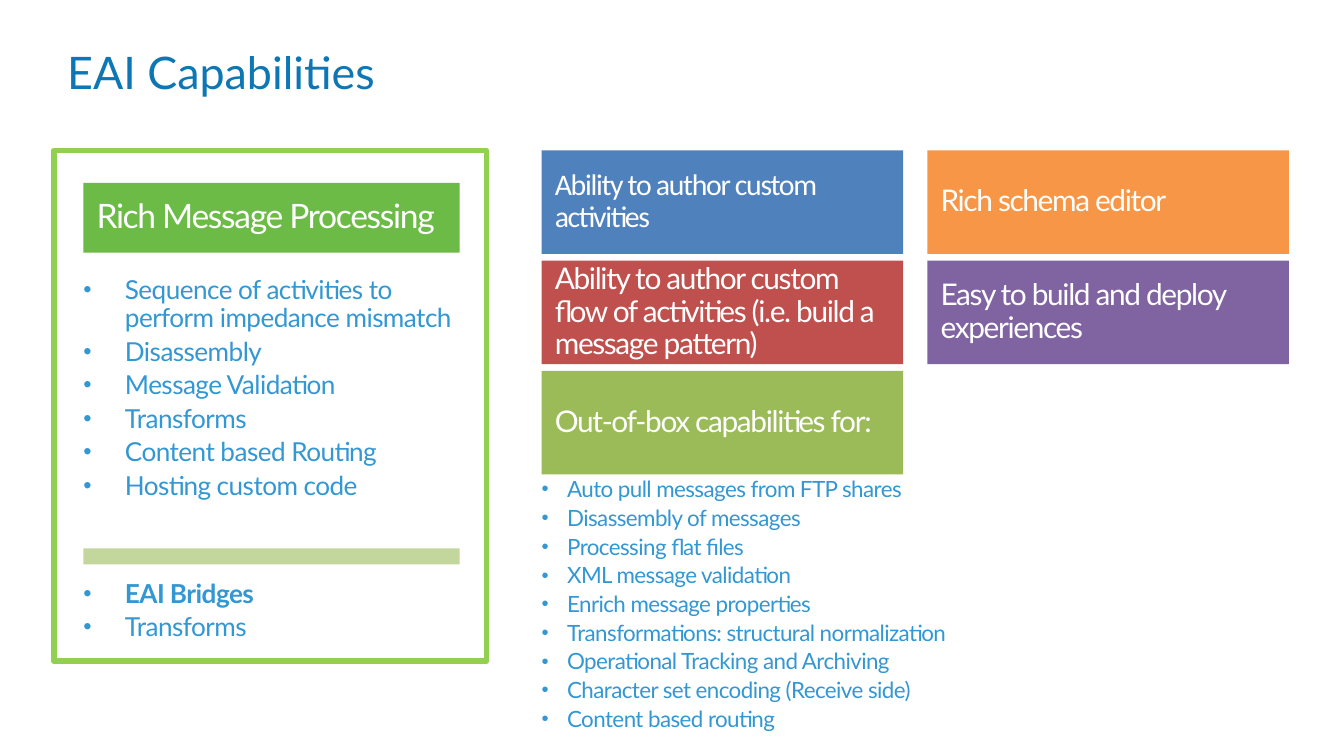
from lxml.etree import SubElement
from pptx import Presentation
from pptx.dml.color import RGBColor
from pptx.enum.shapes import MSO_SHAPE as Preset
from pptx.enum.text import MSO_ANCHOR as Anchor, MSO_AUTO_SIZE as AutoSize, PP_ALIGN as Align
from pptx.oxml.ns import qn
from pptx.util import Inches, Pt

COLORS = {
    "title": "0D77B6", "text": "3397D3", "white": "FFFFFF",
    "blue": "4F81BD", "red": "C0504D", "olive": "9BBB59",
    "orange": "F79646", "purple": "8064A2",
    "frame": "92D050", "header": "6BBB46", "divider": "C3D69B",
}
TILES = [
    (0, 0, "Ability to author custom activities", "blue", "Calibri", 0),
    (0, 1, "Ability to author custom flow of activities (i.e. build a message pattern)", "red", "Lato", 0.1),
    (0, 2, "Out-of-box capabilities for:", "olive", "Lato", 0.1),
    (1, 0, "Rich schema editor", "orange", "Lato", 0),
    (1, 1, "Easy to build and deploy experiences", "purple", "Lato", 0.1),
]
PROCESSING_STEPS = [
    "Sequence of activities to perform impedance mismatch", "Disassembly",
    "Message Validation", "Transforms", "Content based Routing", "Hosting custom code",
]
BRIDGE_ITEMS = ["EAI Bridges", "Transforms"]
OUT_OF_BOX_ITEMS = [
    "Auto pull messages from FTP shares", "Disassembly of messages",
    "Processing flat files", "XML message validation", "Enrich message properties",
    "Transformations: structural normalization", "Operational Tracking and Archiving",
    "Character set encoding (Receive side)", "Content based routing",
]
TILE_LEFT, TILE_TOP, TILE_WIDTH, TILE_HEIGHT = 4.03, 1.12, 2.69, 0.77
COLUMN_STEP, ROW_STEP = 2.87, 0.82
PANEL_LEFT, PANEL_WIDTH = 0.62, 2.8


def color(name):
    return RGBColor.from_string(COLORS[name])


def set_insets(frame, left, top, right, bottom):
    frame.margin_left, frame.margin_top = Inches(left), Inches(top)
    frame.margin_right, frame.margin_bottom = Inches(right), Inches(bottom)


def style_font(para, size, fill, face="Lato", bold=False):
    font = para.font
    font.name, font.size, font.bold = face, Pt(size), bold
    font.color.rgb = color(fill)


def write_para(para, text, size, tracking):
    para.alignment = Align.LEFT
    para.line_spacing = 0.9
    para.space_before = Pt(size * 0.2)
    span = para.add_run()
    span.text = text
    span._r.get_or_add_rPr().set("spc", str(tracking))


def add_bullet(para, indent):
    props = para._p.get_or_add_pPr()
    props.set("marL", str(Inches(indent)))
    props.set("indent", str(-Inches(indent)))
    SubElement(props, qn("a:buSzPct"), val="90000")
    SubElement(props, qn("a:buFont"), typeface="Arial")
    SubElement(props, qn("a:buChar"), char="•")


def add_block(page, left, top, width, height, fill=None):
    block = page.shapes.add_shape(
        Preset.RECTANGLE, Inches(left), Inches(top), Inches(width), Inches(height))
    block.shadow.inherit = False
    if fill:
        block.fill.solid()
        block.fill.fore_color.rgb = color(fill)
    else:
        block.fill.background()
    block.line.fill.background()
    return block


def add_label(page, left, top, width, height, text, fill, size=16, face="Lato", right_inset=0.1):
    frame = add_block(page, left, top, width, height, fill).text_frame
    frame.word_wrap = True
    frame.vertical_anchor = Anchor.MIDDLE
    set_insets(frame, 0.1, 0.1, right_inset, 0.1)
    para = frame.paragraphs[0]
    write_para(para, text, size, -70)
    style_font(para, size, "white", face)


def add_list(page, left, top, width, height, items, size, indent, top_inset=0, bold_items=()):
    box = page.shapes.add_textbox(Inches(left), Inches(top), Inches(width), Inches(height))
    frame = box.text_frame
    frame.word_wrap = True
    frame.auto_size = AutoSize.SHAPE_TO_FIT_TEXT
    set_insets(frame, 0, top_inset, 0, 0)
    for index, item in enumerate(items):
        para = frame.add_paragraph() if index else frame.paragraphs[0]
        write_para(para, item, size, -30)
        add_bullet(para, indent)
        style_font(para, size, "text", bold=item in bold_items)


def set_title(page, text):
    title = page.shapes.title
    title.left, title.top = Inches(0.42), Inches(0.18)
    title.width, title.height = Inches(9.16), Inches(0.7)
    frame = title.text_frame
    frame.text = text
    frame.vertical_anchor = Anchor.MIDDLE
    set_insets(frame, 0.08, 0.04, 0.08, 0.04)
    para = frame.paragraphs[0]
    para.alignment = Align.LEFT
    style_font(para, 24, "title")


def add_processing_panel(page):
    frame = add_block(page, 0.4, TILE_TOP, 3.22, 3.8)
    frame.line.color.rgb = color("frame")
    frame.line.width = Pt(3)
    add_label(page, PANEL_LEFT, 1.36, PANEL_WIDTH, 0.52, "Rich Message Processing", "header", size=18)
    add_list(page, PANEL_LEFT, 2.06, PANEL_WIDTH, 1.72, PROCESSING_STEPS, 14, 0.31)
    add_list(page, PANEL_LEFT, 4.32, PANEL_WIDTH, 0.47, BRIDGE_ITEMS, 14, 0.31, bold_items=["EAI Bridges"])
    add_block(page, PANEL_LEFT, 4.08, PANEL_WIDTH, 0.12, "divider")


def main():
    deck = Presentation()
    deck.slide_width = Inches(10)
    deck.slide_height = deck.slide_width * 9 // 16
    page = deck.slides.add_slide(deck.slide_layouts[5])
    set_title(page, "EAI Capabilities")
    for column, row, text, fill, face, right_inset in TILES:
        add_label(page, TILE_LEFT + column * COLUMN_STEP, TILE_TOP + row * ROW_STEP,
                  TILE_WIDTH, TILE_HEIGHT, text, fill, face=face, right_inset=right_inset)
    add_list(page, TILE_LEFT, 3.46, 3.63, 2.06, OUT_OF_BOX_ITEMS, 12, 0.19, top_inset=0.1)
    add_processing_panel(page)
    deck.save("out.pptx")


if __name__ == "__main__":
    main()
